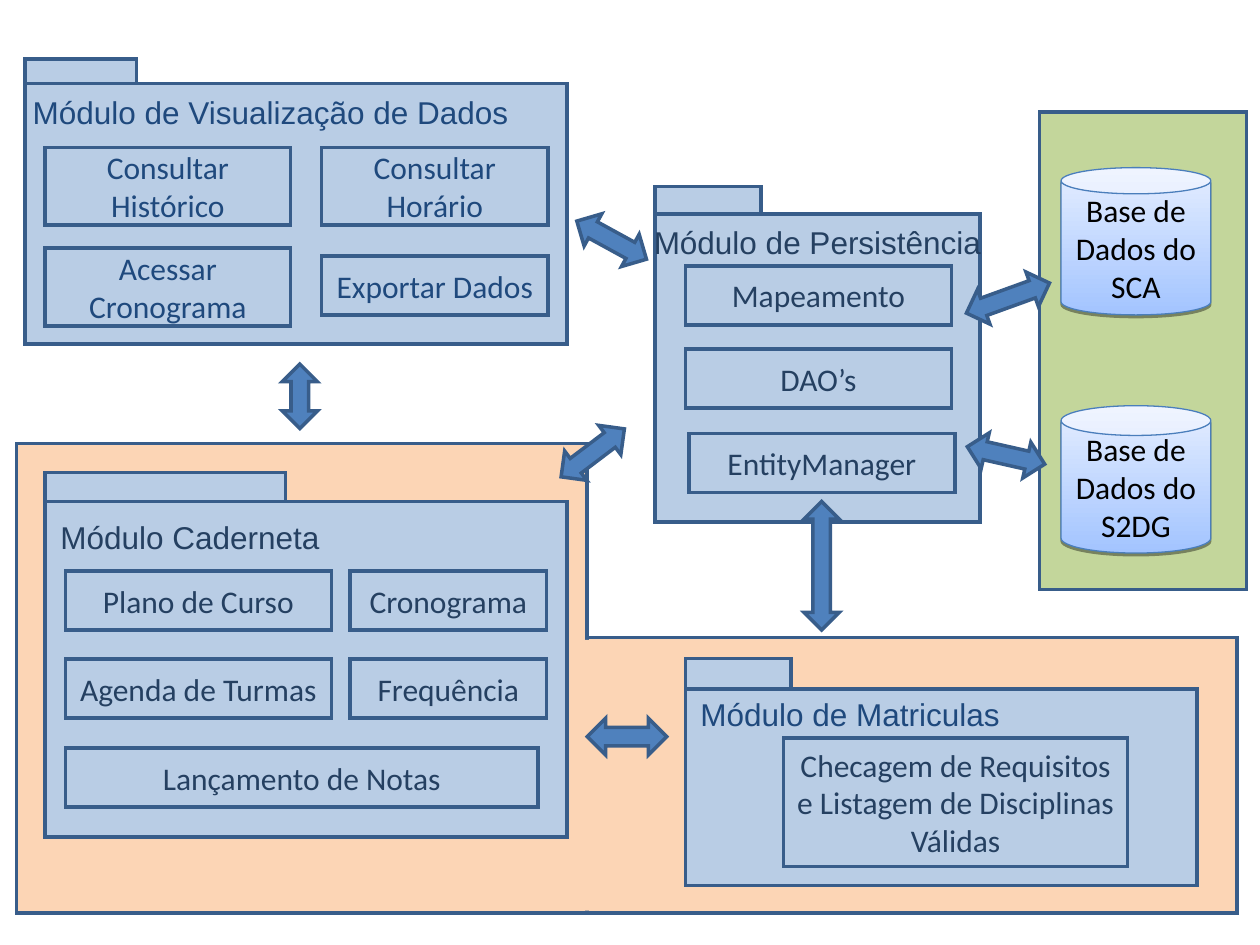
"""Build the slide of the academic system's modules and databases."""
import dataclasses

import pptx
import pptx.dml.color
import pptx.enum.shapes
import pptx.enum.text
import pptx.oxml
import pptx.oxml.ns
import pptx.util

Cm = pptx.util.Cm
Pt = pptx.util.Pt
RGB = pptx.dml.color.RGBColor.from_string
SHAPE = pptx.enum.shapes.MSO_SHAPE
ALIGN = pptx.enum.text.PP_ALIGN
ANCHOR = pptx.enum.text.MSO_ANCHOR


@dataclasses.dataclass(frozen=True)
class Theme:
    """Colours, fonts, type size and line widths of the slide."""

    blue: str = "B9CDE5"
    peach: str = "FCD5B5"
    green: str = "C3D69B"
    arrow: str = "4F81BD"
    edge: str = "385D8A"
    can_edge: str = "4A7EBB"
    can_stops: tuple = ("A3C4FF", "E5EEFF")
    navy: str = "254061"
    ink: str = "1F497D"
    black: str = "000000"
    body_font: str = "Calibri"
    label_font: str = "Arial"
    size: float = 18
    line: float = 2
    can_line: float = 0.75


THEME = Theme()

FOLDERS = [
    ((13.21, 3.76, 2.13, 1.17), (13.21, 4.32, 6.55, 6.2)),
    ((13.82, 13.28, 2.13, 1.52), (13.82, 13.89, 10.31, 3.96)),
    ((0.91, 9.53, 4.85, 2.31), (0.91, 10.11, 10.52, 6.76)),
    ((0.51, 1.19, 2.24, 0.58), (0.51, 1.68, 10.92, 5.26)),
]

LABELS = [
    ("Módulo Caderneta", (0.97, 10.31, 6.2, 1.02), THEME.navy, THEME.blue),
    ("Módulo de Visualização de Dados", (0.41, 1.75, 10.5, 1.02), THEME.ink, None),
    ("Módulo de Persistência", (12.93, 4.37, 7.5, 1.02), THEME.navy, None),
    ("Módulo de Matriculas", (13.87, 13.89, 7, 1.02), THEME.ink, None),
]

BOXES = [
    ("Plano de Curso", (1.32, 11.51, 5.36, 1.19), THEME.navy),
    ("Cronograma", (7.06, 11.51, 3.96, 1.19), THEME.navy),
    ("Agenda de Turmas", (1.32, 13.29, 5.36, 1.19), THEME.navy),
    ("Frequência", (7.06, 13.29, 3.96, 1.19), THEME.navy),
    ("Lançamento de Notas", (1.32, 15.08, 9.53, 1.19), THEME.navy),
    ("Consultar Histórico", (0.91, 2.97, 4.95, 1.57), THEME.ink),
    ("Consultar Horário", (6.48, 2.97, 4.57, 1.57), THEME.ink),
    ("Acessar Cronograma", (0.91, 5, 4.95, 1.57), THEME.ink),
    ("Exportar Dados", (6.48, 5.16, 4.57, 1.19), THEME.ink),
    ("Mapeamento", (13.82, 5.36, 5.36, 1.19), THEME.navy),
    ("DAO’s", (13.82, 7.04, 5.36, 1.19), THEME.navy),
    ("EntityManager", (13.89, 8.74, 5.36, 1.19), THEME.navy),
    ("Checagem de Requisitos e Listagem de Disciplinas Válidas",
     (15.8, 14.88, 6.93, 2.59), THEME.navy),
]

SIDE_ARROWS = [
    ((19.43, 5.64, 1.78, 0.74), 340.1),
    ((11.15, 8.76, 1.6, 0.74), 322.9),
    ((11.84, 14.48, 1.6, 0.74), 0),
    ((11.53, 4.47, 1.6, 0.74), 208.7),
    ((19.48, 8.81, 1.6, 0.74), 192.7),
]

UPRIGHT_ARROWS = [(5.69, 7.34, 0.71, 1.3), (16.21, 10.11, 0.71, 2.59)]


def apply(obj, values):
    """Set each attribute of an object from a dict."""
    for name, value in values.items():
        setattr(obj, name, value)


def add_block(shapes, kind, frame, fill, edge=THEME.edge, width=THEME.line):
    """Add a flat preset shape with a solid fill and an optional sharp outline."""
    sp = shapes.add_shape(kind, *map(Cm, frame))
    sp.shadow.inherit = False
    sp.fill.solid()
    sp.fill.fore_color.rgb = RGB(fill)
    if edge:
        sp.line.color.rgb = RGB(edge)
        sp.line.width = Pt(width)
        sp._element.spPr.find(pptx.oxml.ns.qn("a:ln")).append(pptx.oxml.parse_xml(
            f'<a:miter {pptx.oxml.ns.nsdecls("a")} lim="800000"/>'))
    else:
        sp.line.fill.background()
    return sp


def write(sp, text, font, color, align, anchor):
    """Write one wrapped paragraph in a shape."""
    tf = sp.text_frame
    apply(tf, {"word_wrap": True, "vertical_anchor": anchor})
    p = tf.paragraphs[0]
    p.alignment = align
    r = p.add_run()
    r.text = text
    apply(r.font, {"name": font, "size": Pt(THEME.size)})
    r.font.color.rgb = RGB(color)


def write_centred(sp, text, color):
    """Write text in the middle of a shape."""
    write(sp, text, THEME.body_font, color, ALIGN.CENTER, ANCHOR.MIDDLE)


def add_folder(shapes, tab, body):
    """Add a module folder as a group of tab and body."""
    group = shapes.add_group_shape()
    for frame in (tab, body):
        add_block(group.shapes, SHAPE.RECTANGLE, frame, THEME.blue)


def add_label(shapes, text, frame, color, fill):
    """Add the name of a module."""
    sp = shapes.add_textbox(*map(Cm, frame))
    if fill:
        sp.fill.solid()
        sp.fill.fore_color.rgb = RGB(fill)
    write(sp, text, THEME.label_font, color, ALIGN.LEFT, ANCHOR.TOP)


def add_database(shapes, text, top, rim):
    """Add a shaded database cylinder."""
    sp = add_block(shapes, SHAPE.CAN, (21.39, top, 3.02, 2.97), THEME.blue,
                   THEME.can_edge, THEME.can_line)
    sp.adjustments[0] = rim
    sp.fill.gradient()
    sp.fill.gradient_angle = 90
    for stop, color, position in zip(sp.fill.gradient_stops, THEME.can_stops, (0, 1)):
        stop.color.rgb = RGB(color)
        stop.position = position
    effects = sp._element.spPr.find(pptx.oxml.ns.qn("a:effectLst"))
    effects.append(pptx.oxml.parse_xml(
        f'<a:outerShdw {pptx.oxml.ns.nsdecls("a")} dist="20000" dir="5400000" '
        f'rotWithShape="0"><a:srgbClr val="{THEME.black}"><a:alpha val="38000"/>'
        '</a:srgbClr></a:outerShdw>'))
    write_centred(sp, text, THEME.black)


def main():
    """Build and save the slide."""
    prs = pptx.Presentation()
    apply(prs, {"slide_width": Cm(25.4), "slide_height": Cm(19.05)})
    shapes = prs.slides.add_slide(prs.slide_layouts[6]).shapes
    for frame, fill, edge in [
        ((11.58, 12.85, 13.36, 5.56), THEME.peach, THEME.edge),
        ((0.33, 8.94, 11.51, 9.47), THEME.peach, THEME.edge),
        ((11.63, 12.9, 0.99, 5.46), THEME.peach, None),
        ((20.96, 2.26, 4.17, 9.63), THEME.green, THEME.edge),
    ]:
        add_block(shapes, SHAPE.RECTANGLE, frame, fill, edge)
    add_database(shapes, "Base de Dados do SCA", 3.38, 0.178)
    add_database(shapes, "Base de Dados do S2DG", 8.18, 0.202)
    for tab, body in FOLDERS:
        add_folder(shapes, tab, body)
    for label in LABELS:
        add_label(shapes, *label)
    for text, frame, color in BOXES:
        write_centred(add_block(shapes, SHAPE.RECTANGLE, frame, THEME.blue), text, color)
    for frame, angle in SIDE_ARROWS:
        add_block(shapes, SHAPE.LEFT_RIGHT_ARROW, frame, THEME.arrow).rotation = angle
    for frame in UPRIGHT_ARROWS:
        add_block(shapes, SHAPE.UP_DOWN_ARROW, frame, THEME.arrow)
    prs.save("out.pptx")


if __name__ == "__main__":
    main()
